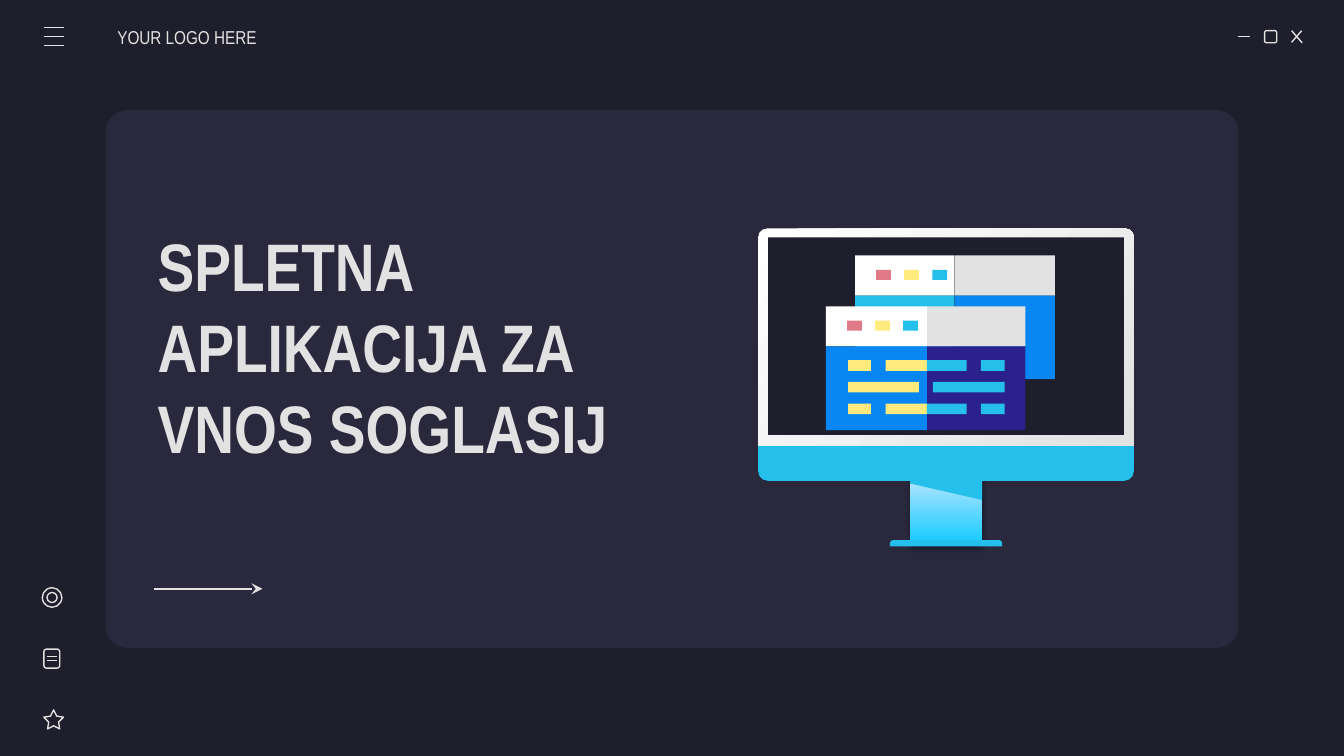
"""Build the title slide with a desktop monitor illustration."""
from lxml import etree
from pptx import Presentation
from pptx.dml.color import RGBColor
from pptx.enum.shapes import MSO_CONNECTOR, MSO_SHAPE
from pptx.enum.text import MSO_ANCHOR
from pptx.oxml import parse_xml
from pptx.oxml.ns import nsdecls, qn
from pptx.util import Cm, Pt

STRAIGHT = MSO_CONNECTOR.STRAIGHT
RECTANGLE = MSO_SHAPE.RECTANGLE
ROUNDED = MSO_SHAPE.ROUNDED_RECTANGLE
ROUNDED_ENDS = MSO_SHAPE.ROUND_2_SAME_RECTANGLE
OVAL = MSO_SHAPE.OVAL
STAR = MSO_SHAPE.STAR_5_POINT
MIDDLE = MSO_ANCHOR.MIDDLE

NIGHT = RGBColor(0x1E, 0x1E, 0x2C)
PANEL = RGBColor(0x29, 0x28, 0x3D)
LIGHT = RGBColor(0xE2, 0xE2, 0xE2)
WHITE = RGBColor(0xFF, 0xFF, 0xFF)
CYAN = RGBColor(0x24, 0xBF, 0xEB)
BRIGHT_CYAN = RGBColor(0x10, 0xCA, 0xFF)
PALE_CYAN = RGBColor(0xB4, 0xE5, 0xFF)
BLUE = RGBColor(0x08, 0x87, 0xF2)
INDIGO = RGBColor(0x2B, 0x21, 0x8D)
RED = RGBColor(0xE0, 0x7A, 0x88)
YELLOW = RGBColor(0xFF, 0xEA, 0x7D)

FONT = "Arial Narrow"
TEXTS = [
    ("YOUR LOGO HERE", (2.22, 0.32, 2.97, 0.76), 0, 10, False),
    ("SPLETNA APLIKACIJA ZA VNOS SOGLASIJ", (2.73, 3.55, 11.53, 5.97), 0.25, 36, True),
]

ICON_OUTLINES = [
    (ROUNDED, (23.9, 0.58, 0.23, 0.23), ()),
    (OVAL, (0.8, 11.11, 0.37, 0.37), ()),
    (OVAL, (0.89, 11.2, 0.19, 0.19), ()),
    (ROUNDED, (0.83, 12.27, 0.3, 0.36), ()),
    (STAR, (0.83, 13.42, 0.37, 0.36), (0.254,)),
]
CONTROL_LINES = [
    (23.39, 0.69, 23.62, 0.69),
    (24.41, 0.58, 24.61, 0.81),
    (24.6, 0.58, 24.41, 0.8),
]
MENU_LINES = [(0.83, y, 1.21, y) for y in (0.52, 0.69, 0.86)]
NOTE_LINES = [(0.89, y, 1.07, y) for y in (12.41, 12.49)]
ARROW = (2.91, 11.13, 4.96, 11.13)

HEADER_HEIGHT, BODY_HEIGHT = 0.76, 1.58
BUTTON_START, BUTTON_PITCH, BUTTON_TOP = 0.4, 0.53, 0.27
BUTTON_WIDTH, BUTTON_HEIGHT = 0.28, 0.19
WINDOWS = [
    (16.16, 4.83, 1.88, 1.9, CYAN, BLUE),
    (15.61, 5.79, 1.91, 1.86, BLUE, INDIGO),
]

CODE_TOP, CODE_PITCH, CODE_HEIGHT = 6.81, 0.41, 0.2
SPLIT_ROW = [(16.03, 0.43, YELLOW), (16.74, 0.78, YELLOW), (17.52, 0.75, CYAN), (18.54, 0.45, CYAN)]
WIDE_ROW = [(16.03, 1.34, YELLOW), (17.63, 1.36, CYAN)]
CODE_ROWS = [SPLIT_ROW, WIDE_ROW, SPLIT_ROW]


def finish_block(shape, color):
    shape.shadow.inherit = False
    shape.line.fill.background()
    if color is not None:
        shape.fill.solid()
        shape.fill.fore_color.rgb = color


def add_block(shapes, box, color, kind=RECTANGLE, adjustments=()):
    shape = shapes.add_shape(kind, *map(Cm, box))
    finish_block(shape, color)
    for index, value in enumerate(adjustments):
        shape.adjustments[index] = value
    return shape


def add_gradient(shape, colors, angle):
    shape.fill.gradient()
    shape.fill.gradient_angle = angle
    for stop, color in zip(shape.fill.gradient_stops, colors):
        stop.color.rgb = color


def add_outline(shapes, kind, box, adjustments):
    shape = add_block(shapes, box, None, kind, adjustments)
    shape.fill.background()
    shape.line.color.rgb = LIGHT
    shape.line.width = Pt(0.75)


def add_line(shapes, ends):
    line = shapes.add_connector(STRAIGHT, *map(Cm, ends))
    line.line.color.rgb = LIGHT
    line.line.width = Pt(0.75)
    etree.SubElement(line._element.spPr, qn("a:effectLst"))
    return line


def add_text(shapes, text, box, inset, size, bold):
    frame = shapes.add_textbox(*map(Cm, box)).text_frame
    frame.word_wrap = True
    frame.vertical_anchor = MIDDLE
    frame.margin_left = Cm(inset)
    frame.margin_top = frame.margin_right = frame.margin_bottom = Cm(0.25)
    paragraph = frame.paragraphs[0]
    paragraph.text = text
    font = paragraph.font
    font.name, font.size, font.bold = FONT, Pt(size), bold
    font.color.rgb = LIGHT


def add_monitor(shapes):
    stand = add_block(shapes, (17.2, 9.04, 1.37, 1.27), None)
    add_gradient(stand, (BRIGHT_CYAN, PALE_CYAN), 90)
    stand._element.spPr.find(qn("a:effectLst")).append(parse_xml(
        f'<a:outerShdw {nsdecls("a")} blurRad="{Pt(3.1)}" dist="{Pt(1.8)}" dir="5400000">'
        '<a:srgbClr val="000000"><a:alpha val="35000"/></a:srgbClr></a:outerShdw>'))
    add_block(shapes, (16.82, 10.21, 2.12, 0.12), CYAN, ROUNDED_ENDS, (0.5, 0))
    builder = shapes.build_freeform(Cm(17.2), Cm(9.04))
    corners = [(17.2, 9.14), (18.56, 9.45), (18.56, 9.04)]
    builder.add_line_segments([(Cm(x), Cm(y)) for x, y in corners])
    finish_block(builder.convert_to_shape(), CYAN)
    add_block(shapes, (14.33, 8.41, 7.1, 0.68), CYAN, ROUNDED_ENDS, (0, 0.27))
    bezel = add_block(shapes, (14.33, 4.32, 7.1, 4.11), None, ROUNDED_ENDS, (0.04, 0))
    add_gradient(bezel, (WHITE, LIGHT), 315)
    add_block(shapes, (14.52, 4.49, 6.72, 3.73), NIGHT)


def add_window(shapes, left, top, left_width, right_width, left_color, right_color):
    split, body_top = left + left_width, top + HEADER_HEIGHT
    add_block(shapes, (split, top, right_width, HEADER_HEIGHT), LIGHT)
    add_block(shapes, (left, top, left_width, HEADER_HEIGHT), WHITE)
    add_block(shapes, (split, body_top, right_width, BODY_HEIGHT), right_color)
    add_block(shapes, (left, body_top, left_width, BODY_HEIGHT), left_color)
    for index, color in enumerate((RED, YELLOW, CYAN)):
        x = left + BUTTON_START + index * BUTTON_PITCH
        add_block(shapes, (x, top + BUTTON_TOP, BUTTON_WIDTH, BUTTON_HEIGHT), color)


def main():
    presentation = Presentation()
    presentation.slide_width, presentation.slide_height = Cm(25.4), Cm(14.29)
    slide = presentation.slides.add_slide(presentation.slide_layouts[6])
    slide.background.fill.solid()
    slide.background.fill.fore_color.rgb = NIGHT
    shapes = slide.shapes

    add_block(shapes, (2, 2.08, 21.4, 10.17), PANEL, ROUNDED, (0.04,))
    for text in TEXTS:
        add_text(shapes, *text)
    for outline in ICON_OUTLINES:
        add_outline(shapes, *outline)
    for ends in CONTROL_LINES + MENU_LINES + NOTE_LINES:
        add_line(shapes, ends)
    arrow = add_line(shapes, ARROW)
    etree.SubElement(arrow.line._get_or_add_ln(), qn("a:tailEnd"), type="stealth")

    add_monitor(shapes)
    for window in WINDOWS:
        add_window(shapes, *window)
    for index, row in enumerate(CODE_ROWS):
        for left, width, color in row:
            add_block(shapes, (left, CODE_TOP + index * CODE_PITCH, width, CODE_HEIGHT), color)

    presentation.save("out.pptx")


if __name__ == "__main__":
    main()
